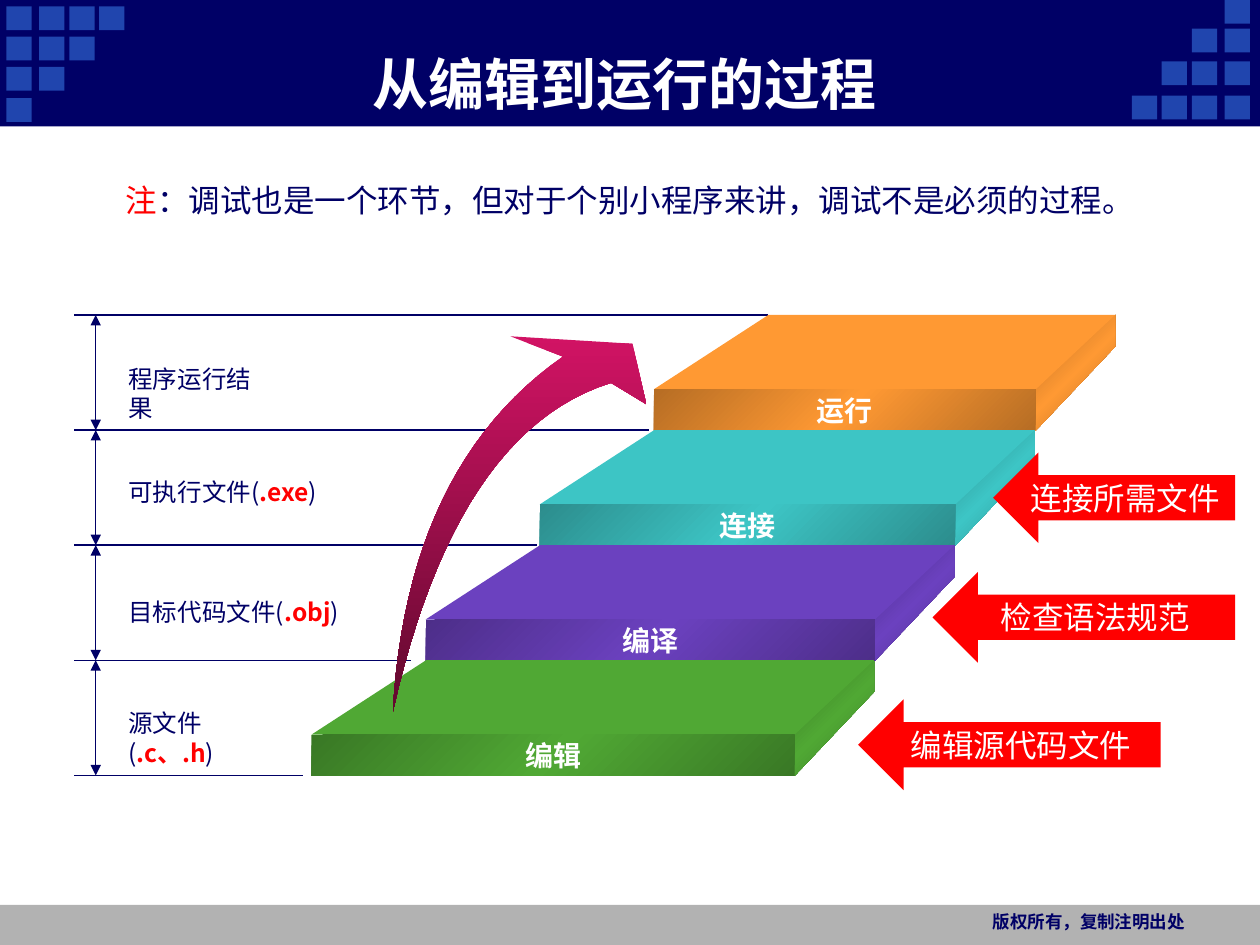
"""Build a slide showing the steps from editing a program to running it."""
from copy import deepcopy
from dataclasses import dataclass

from pptx import Presentation
from pptx.dml.color import RGBColor
from pptx.enum.shapes import MSO_CONNECTOR, MSO_SHAPE
from pptx.enum.text import MSO_ANCHOR, PP_ALIGN
from pptx.oxml.ns import qn
from pptx.oxml.xmlchemy import OxmlElement
from pptx.util import Cm, Pt

RECT, ARROW = MSO_SHAPE.RECTANGLE, MSO_SHAPE.LEFT_ARROW
STRAIGHT = MSO_CONNECTOR.STRAIGHT
LEFT, CENTER, RIGHT = PP_ALIGN.LEFT, PP_ALIGN.CENTER, PP_ALIGN.RIGHT
TOP, MIDDLE = MSO_ANCHOR.TOP, MSO_ANCHOR.MIDDLE


@dataclass(frozen=True)
class Theme:
    navy: str = "000066"
    tile: str = "2045AE"
    gray: str = "B2B2B2"
    white: str = "FFFFFF"
    red: str = "FF0000"
    sweep: tuple = ("D11364", "61092E")
    head: int = 32
    body: int = 18
    step: int = 16
    label: int = 14
    foot: int = 10
    line: float = 0.75
    sans: str = "Arial"
    cjk: str = "Noto Sans CJK SC"
    bold: str = "DejaVu Sans"
    mono: str = "Courier New"


T = Theme()
PITCH, BASE = 2.32, 6.35
STEPS = [
    ("运行", "FF9933", "B66D24"),
    ("连接", "3DC5C5", "2C8D8D"),
    ("编译", "6B41BF", "4D2E89"),
    ("编辑", "50A834", "397825"),
]
LABELS = [
    (7.21, 3.4, "程序运行结果", "", ""),
    (9.5, 4.6, "可执行文件(", ".exe", ")"),
    (11.91, 5.2, "目标代码文件(", ".obj", ")"),
    (14.15, 3.4, "源文件(", ".c、.h", ")"),
]
RULES = [15.49, 13.08, 10.82, 8.28, 6.1]
CALLS = [
    (17.3, 14.1, 6.1, "编辑源代码文件"),
    (18.8, 11.53, 6.1, "检查语法规范"),
    (20.02, 9.12, 4.88, "连接所需文件"),
]


def rgb(code):
    return RGBColor.from_string(code)


def paint(shape, *colors, angle=315):
    shape.shadow.inherit = False
    shape.line.fill.background()
    fill = shape.fill
    if len(colors) == 1:
        fill.solid()
        fill.fore_color.rgb = rgb(colors[0])
        return
    fill.gradient()
    fill.gradient_angle = angle
    stops = shape.element.spPr.find(".//" + qn("a:gsLst"))
    while len(stops) < len(colors):
        stops.append(deepcopy(stops[0]))
    for i, (stop, color) in enumerate(zip(fill.gradient_stops, colors)):
        stop.color.rgb = rgb(color)
        stop.position = i / (len(colors) - 1)


def box(slide, kind, x, y, w, h, *colors):
    shape = slide.shapes.add_shape(kind, Cm(x), Cm(y), Cm(w), Cm(h))
    paint(shape, *colors)
    return shape


def poly(slide, points, *colors, angle=315):
    first, *rest = [(Cm(x), Cm(y)) for x, y in points]
    form = slide.shapes.build_freeform(*first)
    form.add_line_segments(rest)
    paint(form.convert_to_shape(), *colors, angle=angle)


def write(shape, runs, size, font, align=LEFT, anchor=TOP, bold=False):
    frame = shape.text_frame
    frame.word_wrap = True
    frame.vertical_anchor = anchor
    para = frame.paragraphs[0]
    para.alignment = align
    para.font.size, para.font.name = Pt(size), font
    para.font.bold = bold
    for text, color, strong in runs:
        run = para.add_run()
        run.text = text
        run.font.color.rgb = rgb(color)
        if strong:
            run.font.bold = True


def text(slide, x, y, w, h, runs, size, font, **style):
    area = slide.shapes.add_textbox(Cm(x), Cm(y), Cm(w), Cm(h))
    write(area, runs, size, font, **style)


def line(slide, x1, y1, x2, y2, heads=False):
    link = slide.shapes.add_connector(STRAIGHT, Cm(x1), Cm(y1), Cm(x2), Cm(y2))
    link.line.color.rgb = rgb(T.navy)
    link.line.width = Pt(T.line)
    if heads:
        for tag in ("a:headEnd", "a:tailEnd"):
            end = OxmlElement(tag)
            end.set("type", "triangle")
            link.line._ln.append(end)
    link.element.spPr.append(OxmlElement("a:effectLst"))


def curve(start, bend, end, count=24):
    parts = [i / count for i in range(count + 1)]
    return [
        tuple((1 - t) ** 2 * a + 2 * t * (1 - t) * b + t * t * c
              for a, b, c in zip(start, bend, end))
        for t in parts
    ]


def frame(slide):
    box(slide, RECT, 0, 18.24, 25.4, 0.81, T.gray)
    box(slide, RECT, 0, 0, 25.4, 2.55, T.navy)
    cols = [0.13, 0.79, 1.4, 2.0]
    tops, lows = [0.13, 0.74, 1.35, 1.98], [1.93, 1.24, 0.58, 0]
    for row in range(4):
        for x in cols[:4 - row]:
            box(slide, RECT, x, tops[row], 0.51, 0.48, T.tile)
            box(slide, RECT, 24.82 - x, lows[row], 0.51, 0.48, T.tile)
    text(slide, 19.3, 18.24, 4.83, 0.81,
         [("版权所有，复制注明出处", T.navy, False)],
         T.foot, T.sans, align=RIGHT, bold=True)
    text(slide, 2.34, 0.89, 20.52, 1.57,
         [("从编辑到运行的过程", T.white, False)],
         T.head, T.sans, align=CENTER, anchor=MIDDLE, bold=True)


def scale(slide):
    for i, end in enumerate(RULES):
        y = BASE + i * PITCH
        line(slide, end, y, 1.5, y)
        if i:
            line(slide, 1.93, y - PITCH, 1.93, y, heads=True)
    for y, w, lead, mark, tail in LABELS:
        runs = [(lead, T.navy, False), (mark, T.red, True), (tail, T.navy, False)]
        text(slide, 2.34, y, w, 0.86, [r for r in runs if r[0]], T.label, T.cjk)


def stair(slide, i, name, color, dark):
    x, y, w = 13.18 - 2.3 * i, BASE + 1.5 + PITCH * i, 7.7 + 0.68 * i
    right, back, rise, tall = x + w, x + w + 1.6, y - 1.5, 0.83
    poly(slide, [(right, y + tall), (right, y), (back, rise), (back, y - 0.86)],
         dark, color, dark)
    poly(slide, [(x, y), (x + 2.31, rise), (back, rise), (right, y)], color)
    front = box(slide, RECT, x, y, w, tall, dark, color, dark)
    write(front, [(name, T.white, False)], T.step, T.bold,
          align=CENTER, anchor=MIDDLE, bold=True)


def sweep(slide):
    tail = (7.92, 14.35)
    outer = curve(tail, (8.2, 9.4), (11.35, 7.19))
    head = [(10.29, 6.78), (12.75, 6.93), (13.03, 8.15)]
    inner = curve((12.32, 7.72), (9.19, 8.69), tail)
    poly(slide, outer + head + inner, *T.sweep, angle=270)


def main():
    deck = Presentation()
    deck.slide_width, deck.slide_height = Cm(25.4), Cm(19.05)
    slide = deck.slides.add_slide(deck.slide_layouts[6])
    frame(slide)
    scale(slide)
    for i, step in enumerate(STEPS):
        stair(slide, i, *step)
    sweep(slide)
    note = "：调试也是一个环节，但对于个别小程序来讲，调试不是必须的过程。"
    text(slide, 2.29, 3.53, 22, 1.02,
         [("注", T.red, False), (note, T.navy, False)], T.body, T.cjk)
    for x, y, w, name in CALLS:
        call = box(slide, ARROW, x, y, w, 1.83, T.red)
        write(call, [(name, T.white, False)], T.body, T.mono,
              align=CENTER, anchor=MIDDLE)
    deck.save("out.pptx")


if __name__ == "__main__":
    main()
